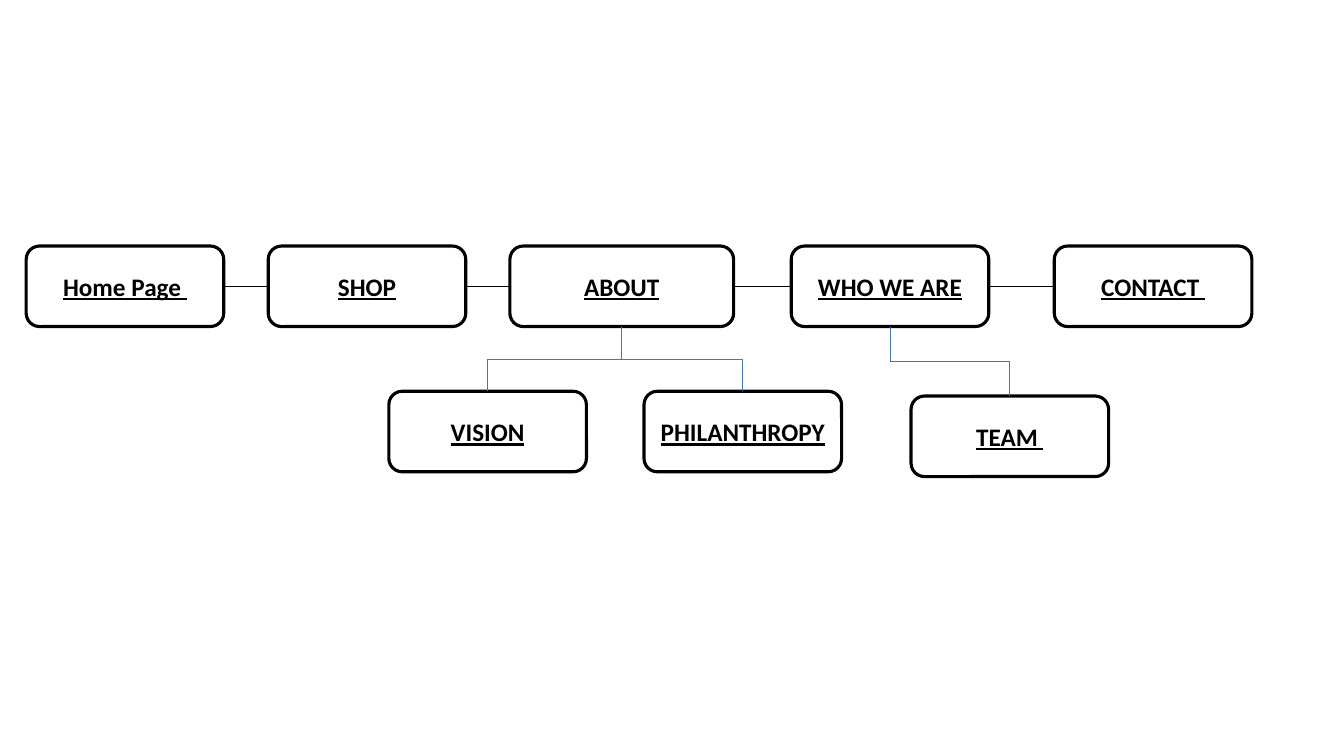
from dataclasses import dataclass

from lxml import etree
from pptx import Presentation
from pptx.dml.color import RGBColor
from pptx.enum import shapes, text
from pptx.oxml import ns
from pptx.util import Cm, Pt


@dataclass(frozen=True)
class Theme:
    ink: RGBColor = RGBColor(0x00, 0x00, 0x00)
    paper: RGBColor = RGBColor(0xFF, 0xFF, 0xFF)
    branch: RGBColor = RGBColor(0x44, 0x72, 0xC4)
    font: str = "Calibri"
    label_size: Pt = Pt(18)
    border: Pt = Pt(2.25)
    row_line: Pt = Pt(1)
    branch_line: Pt = Pt(0.5)


THEME = Theme()
PAGE_WIDTH, PAGE_HEIGHT = Cm(4.98), Cm(2.03)
TOP, LEFT, BOTTOM, RIGHT = range(4)  # connection sites of a page box

# Label, offset from the left of the map, width
MAIN_PAGES = [
    ("Home Page ", Cm(0), PAGE_WIDTH),
    ("SHOP", Cm(6.1), PAGE_WIDTH),
    ("ABOUT", Cm(12.19), Cm(5.64)),
    ("WHO WE ARE", Cm(19.28), PAGE_WIDTH),
    ("CONTACT ", Cm(25.91), PAGE_WIDTH),
]
# Label, parent, offsets from the left and top of the map
SUBPAGES = [
    ("VISION", "ABOUT", Cm(9.14), Cm(3.66)),
    ("PHILANTHROPY", "ABOUT", Cm(15.57), Cm(3.66)),
    ("TEAM ", "WHO WE ARE", Cm(22.3), Cm(3.78)),
]


def add_page(slide, label, left, top, width):
    page = slide.shapes.add_shape(
        shapes.MSO_SHAPE.ROUNDED_RECTANGLE, left, top, width, PAGE_HEIGHT)
    page.shadow.inherit = False
    page.fill.solid()
    page.fill.fore_color.rgb = THEME.paper
    page.line.color.rgb = THEME.ink
    page.line.width = THEME.border
    frame = page.text_frame
    frame.word_wrap = True
    frame.vertical_anchor = text.MSO_ANCHOR.MIDDLE
    caption = frame.paragraphs[0]
    caption.text = label
    caption.alignment = text.PP_ALIGN.CENTER
    font = caption.font
    font.name, font.size = THEME.font, THEME.label_size
    font.bold = font.underline = True
    font.color.rgb = THEME.ink
    return page


def add_link(slide, kind, start, end, color, width):
    """Connect two (page, connection site) pairs."""
    link = slide.shapes.add_connector(kind, 0, 0, 0, 0)
    link.begin_connect(*start)
    link.end_connect(*end)
    link.line.color.rgb = color
    link.line.width = width
    etree.SubElement(link._element.spPr, ns.qn("a:effectLst"))
    return link


def add_branch(slide, parent, child):
    """Draw an elbow that leaves the parent downwards and enters the child from above."""
    branch = add_link(slide, shapes.MSO_CONNECTOR.ELBOW, (parent, BOTTOM),
                      (child, TOP), THEME.branch, THEME.branch_line)
    start_x, start_y = parent.left + parent.width // 2, parent.top + parent.height
    end_x, end_y = child.left + child.width // 2, child.top
    # The elbow is turned a quarter, so its width is the vertical run
    drop, run = end_y - start_y, abs(end_x - start_x)
    branch.left = (start_x + end_x - drop) // 2
    branch.top = (start_y + end_y - run) // 2
    branch.width, branch.height = drop, run
    to_right = end_x > start_x
    xfrm = branch._element.spPr.find(ns.qn("a:xfrm"))
    xfrm.set("rot", str((270 if to_right else 90) * 60000))
    xfrm.set("flipH", "1" if to_right else "0")
    xfrm.set("flipV", "0")


def add_site_map(slide, left, top):
    pages = {label: add_page(slide, label, left + offset, top, width)
             for label, offset, width in MAIN_PAGES}
    row = list(pages.values())
    for page, following in zip(row, row[1:]):
        add_link(slide, shapes.MSO_CONNECTOR.STRAIGHT, (page, RIGHT),
                 (following, LEFT), THEME.ink, THEME.row_line)
    for label, parent, across, down in SUBPAGES:
        subpage = add_page(slide, label, left + across, top + down, PAGE_WIDTH)
        add_branch(slide, pages[parent], subpage)


def main():
    deck = Presentation()
    deck.slide_width, deck.slide_height = Cm(33.87), Cm(19.05)
    blank_layout = deck.slide_layouts[6]
    slide = deck.slides.add_slide(blank_layout)
    add_site_map(slide, Cm(0.66), Cm(6.2))
    deck.save("out.pptx")


if __name__ == "__main__":
    main()
